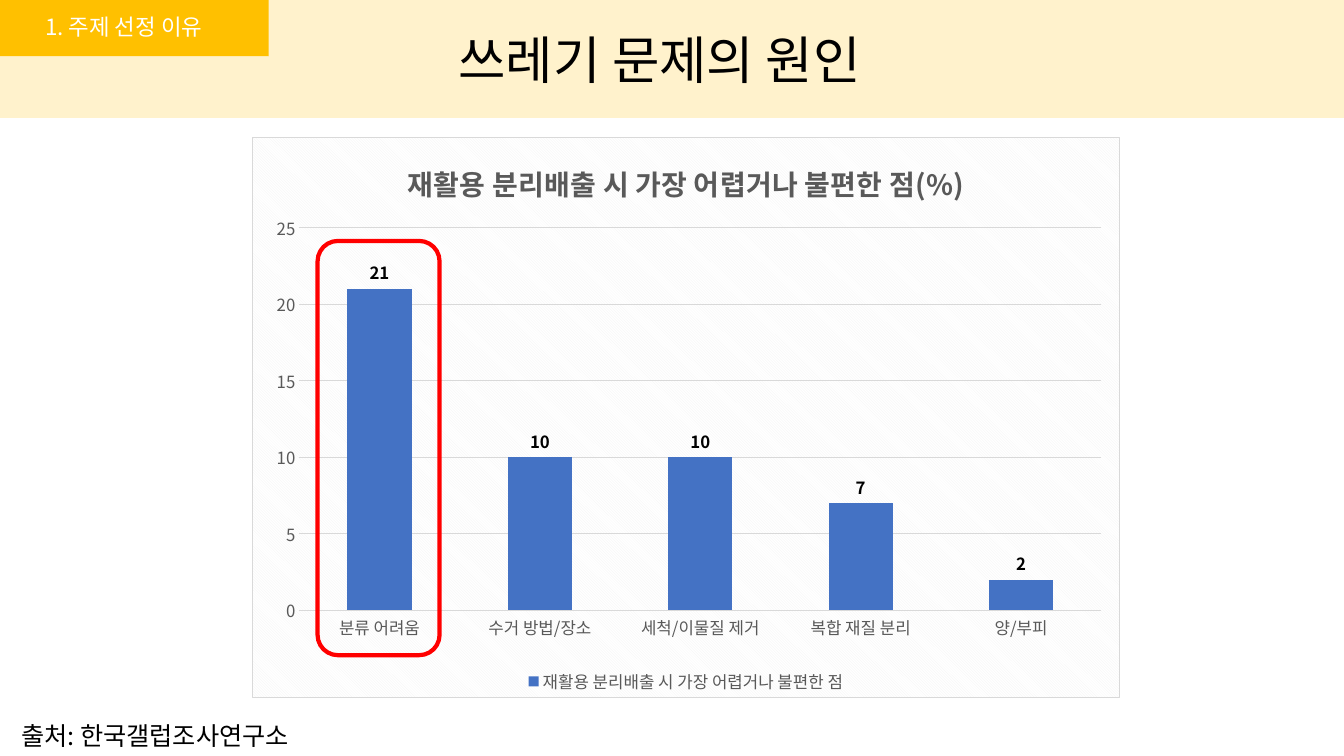
from lxml import etree
from pptx import Presentation
from pptx import util as u
from pptx.chart.data import CategoryChartData
from pptx.dml.color import RGBColor
from pptx.enum import chart as ch, dml, shapes, text
from pptx.oxml import parse_xml
from pptx.oxml.ns import nsdecls, qn

WIDTH, HEIGHT = u.Inches(13.33), u.Inches(7.5)
FONT = "Noto Sans CJK KR"
CREAM, AMBER, GREY, PALE = "FFF2CC", "FFC000", "595959", "D9D9D9"
TOPIC = "재활용 분리배출 시 가장 어렵거나 불편한 점"
SURVEY = {"분류 어려움": 21, "수거 방법/장소": 10, "세척/이물질 제거": 10,
          "복합 재질 분리": 7, "양/부피": 2}


def color(hex_code):
    return RGBColor.from_string(hex_code)


def place(left, top, width, height):
    return [int(share * side / 100) for share, side in
            zip((left, top, width, height), (WIDTH, HEIGHT, WIDTH, HEIGHT))]


def style(font, size, hex_code, bold=False):
    font.size, font.bold, font.name = u.Pt(size), bold, FONT
    font.color.rgb = color(hex_code)
    etree.SubElement(font._rPr, qn("a:ea")).set("typeface", FONT)


def add_panel(slide, area, fill=None, line=None, weight=1,
              preset=shapes.MSO_SHAPE.RECTANGLE):
    panel = slide.shapes.add_shape(preset, *place(*area))
    panel.shadow.inherit = False
    if fill:
        panel.fill.solid()
        panel.fill.fore_color.rgb = color(fill)
    else:
        panel.fill.background()
    if line:
        panel.line.color.rgb = color(line)
        panel.line.width = u.Pt(weight)
    else:
        panel.line.fill.background()


def add_label(slide, area, words, size, hex_code):
    frame = slide.shapes.add_textbox(*place(*area)).text_frame
    frame.word_wrap = False
    frame.auto_size = text.MSO_AUTO_SIZE.SHAPE_TO_FIT_TEXT
    frame.text = words
    style(frame.paragraphs[0].runs[0].font, size, hex_code)
    return frame


def add_heading(slide, area, words):
    frame = add_label(slide, area, words, 36.8, "000000")
    frame.word_wrap = True
    frame.auto_size = text.MSO_AUTO_SIZE.NONE
    frame.vertical_anchor = text.MSO_ANCHOR.BOTTOM
    frame.paragraphs[0].alignment = text.PP_ALIGN.CENTER
    frame.paragraphs[0].line_spacing = 0.7


def paint_background(chart):
    chart._chartSpace.find(qn("c:chart")).addnext(parse_xml(
        f'<c:spPr {nsdecls("c", "a")}><a:pattFill prst="dkDnDiag">'
        '<a:fgClr><a:srgbClr val="F2F2F2"/></a:fgClr>'
        '<a:bgClr><a:srgbClr val="FFFFFF"/></a:bgClr></a:pattFill>'
        f'<a:ln w="9525"><a:solidFill><a:srgbClr val="{PALE}"/></a:solidFill></a:ln>'
        '</c:spPr>'))


def fix_plot_area(chart, **shares):
    plot_area = chart._chartSpace.find(".//" + qn("c:plotArea"))
    for old in plot_area.findall(qn("c:layout")):
        plot_area.remove(old)
    sizes = "".join(f'<c:{key} val="{value}"/>' for key, value in shares.items())
    plot_area.insert(0, parse_xml(
        f'<c:layout {nsdecls("c")}><c:manualLayout><c:layoutTarget val="inner"/>'
        f'<c:xMode val="edge"/><c:yMode val="edge"/>{sizes}'
        '</c:manualLayout></c:layout>'))


def style_axes(chart):
    for axis in (chart.category_axis, chart.value_axis):
        axis.major_tick_mark = ch.XL_TICK_MARK.NONE
        axis.format.line.fill.background()
        style(axis.tick_labels.font, 12, GREY)
    scale = chart.value_axis
    scale.minimum_scale, scale.maximum_scale, scale.major_unit = 0, 25, 5
    scale.has_major_gridlines = True
    scale.major_gridlines.format.line.color.rgb = color(PALE)
    scale.major_gridlines.format.line.width = u.Pt(0.75)


def style_bars(chart):
    plot = chart.plots[0]
    plot.gap_width, plot.vary_by_categories = 150, False
    bars = plot.series[0]
    bars.format.fill.solid()
    bars.format.fill.fore_color.rgb = color("4472C4")
    bars.data_labels.show_value = True
    bars.data_labels.position = ch.XL_LABEL_POSITION.OUTSIDE_END
    style(bars.data_labels.font, 12, "000000", True)


def add_survey(slide, area):
    data = CategoryChartData()
    data.categories = list(SURVEY)
    data.add_series(TOPIC, list(SURVEY.values()))
    chart = slide.shapes.add_chart(
        ch.XL_CHART_TYPE.COLUMN_CLUSTERED, *place(*area), data).chart
    style(chart.font, 10, "000000")
    chart.has_title = True
    heading = chart.chart_title.text_frame
    heading.text = f"{TOPIC}(%)"
    style(heading.paragraphs[0].runs[0].font, 20, GREY, True)
    chart.chart_title.include_in_layout = False
    chart.has_legend = True
    chart.legend.position = ch.XL_LEGEND_POSITION.BOTTOM
    chart.legend.include_in_layout = False
    style(chart.legend.font, 12, GREY)
    style_axes(chart)
    style_bars(chart)
    paint_background(chart)
    fix_plot_area(chart, x=0.054, y=0.161, w=0.925, h=0.683)


def main():
    deck = Presentation()
    deck.slide_width, deck.slide_height = WIDTH, HEIGHT
    slide = deck.slides.add_slide(deck.slide_layouts[6])
    add_panel(slide, (0, 0, 100, 15.47), CREAM, CREAM)
    add_panel(slide, (0, 0, 20, 7.47), AMBER)
    add_panel(slide, (0, 7.47, 20, 1.33), CREAM)
    add_survey(slide, (18.75, 18.13, 64.59, 74.27))
    add_label(slide, (0.83, 94.67, 23.4, 5.33), "출처: 한국갤럽조사연구소", 18, "000000")
    add_panel(slide, (23.63, 31.87, 9.08, 54.8), line="FF0000", weight=3,
              preset=shapes.MSO_SHAPE.ROUNDED_RECTANGLE)
    add_heading(slide, (18.75, 4.67, 60.69, 7.6), "쓰레기 문제의 원인")
    add_label(slide, (2.63, 1.07, 14.7, 4.93), "1. 주제 선정 이유", 16, "FFFFFF")
    deck.save("out.pptx")


if __name__ == "__main__":
    main()
